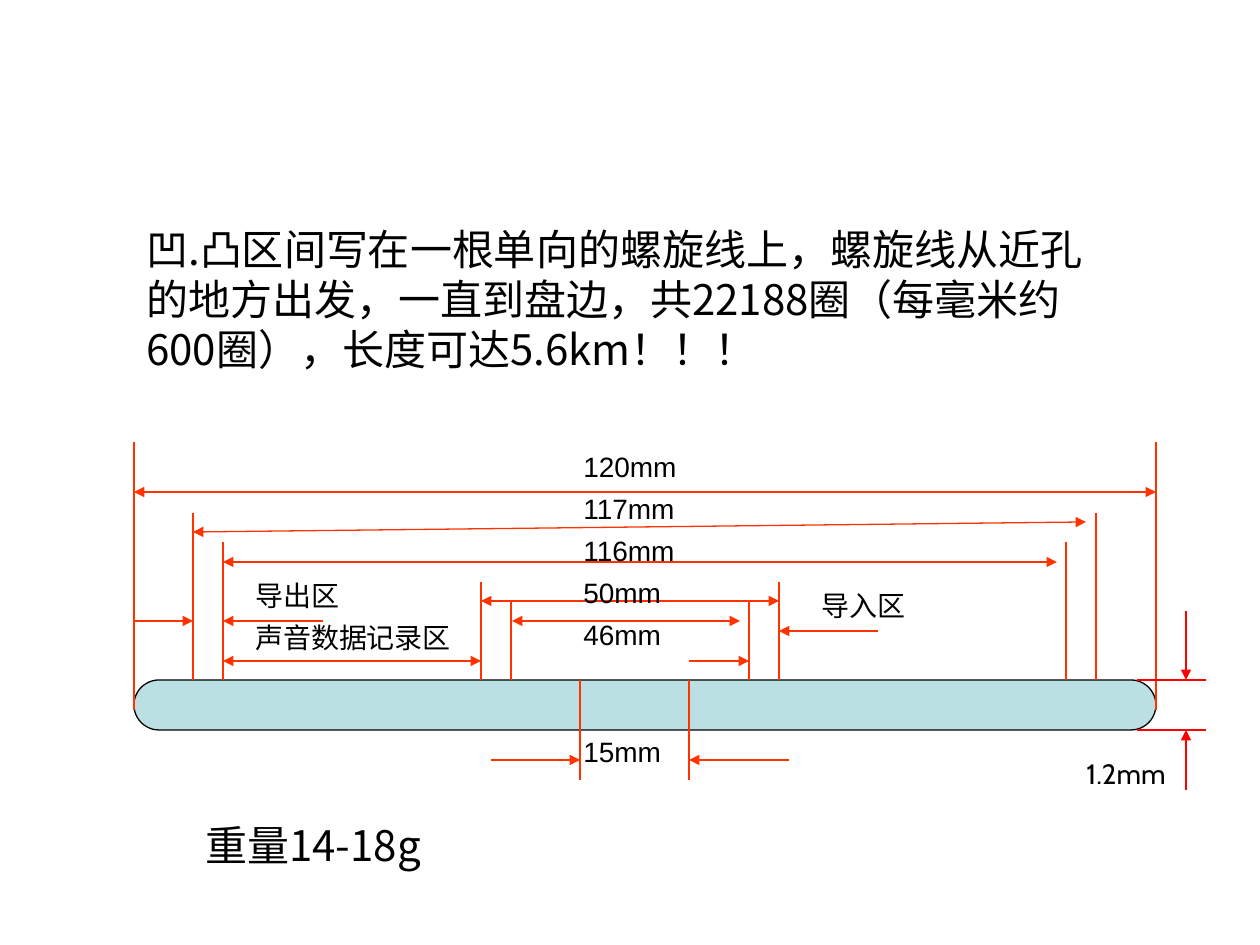
from pptx import Presentation, util as u
from pptx.dml.color import RGBColor
from pptx.enum import shapes, text
from pptx.oxml.ns import qn
from lxml import etree
from dataclasses import dataclass


@dataclass(frozen=True)
class Theme:
    ink: str = "000000"
    disc: str = "BBE0E3"
    dimension: str = "FF3300"
    thickness: str = "FF0000"
    label_font: str = "Arial"
    gauge_font: str = "Cabin"
    cjk_font: str = "Noto Sans CJK SC"
    label_size: int = 16
    body_size: int = 24
    line_width: float = 0.75


T = Theme()


def px(n):
    return u.Emu(round(n * 914400 / 126))


def rgb(value):
    return RGBColor.from_string(value)


def add_text(parent, box, lines, font=T.label_font, size=T.label_size, wrap=True, **spacing):
    """Text box with one paragraph per line; spacing holds paragraph formats."""
    tf = parent.add_textbox(*map(px, box)).text_frame
    tf.word_wrap = wrap
    tf.vertical_anchor = text.MSO_ANCHOR.TOP
    for i, line in enumerate(lines):
        p = tf.paragraphs[0] if i == 0 else tf.add_paragraph()
        for name, value in spacing.items():
            if i or name != "space_before":
                setattr(p, name, value)
        r = p.add_run()
        r.text = line
        for name, value in dict(name=font, size=u.Pt(size)).items():
            setattr(r.font, name, value)
        r.font.color.rgb = rgb(T.ink)
        etree.SubElement(r._r.get_or_add_rPr(), qn("a:ea"), typeface=T.cjk_font)


def add_line(parent, origin, ends, color, arrows=()):
    """Straight line; arrows names its arrowed ends, headEnd before tailEnd."""
    x, y = origin
    x1, y1, x2, y2 = ends
    sp = parent.add_connector(shapes.MSO_CONNECTOR.STRAIGHT,
                              px(x + x1), px(y + y1), px(x + x2), px(y + y2))
    sp.line.color.rgb = rgb(color)
    sp.line.width = u.Pt(T.line_width)
    ln = sp.line._get_or_add_ln()
    for end in arrows:
        etree.SubElement(ln, qn(f"a:{end}"), type="triangle")
    etree.SubElement(sp._element.spPr, qn("a:effectLst"))


def disc_section(s, x, y, w):
    """Cross-section of the disc with its diameters and zones."""
    grp = s.shapes.add_group_shape().shapes
    top, height = 238, 50
    sp = grp.add_shape(shapes.MSO_SHAPE.ROUNDED_RECTANGLE,
                       px(x), px(y + top), px(w), px(height))
    sp.adjustments[0] = 0.5
    sp.shadow.inherit = False
    sp.fill.solid()
    sp.fill.fore_color.rgb = rgb(T.disc)
    sp.line.color.rgb = rgb(T.ink)
    sp.line.width = u.Pt(T.line_width)

    # Left x, right x, start y and end y of each pair of extension lines
    extensions = [
        (0, w, 0, 268),
        (59, 962, 71, top),
        (89, 932, 100, top),
        (347, 645, 140, top),
        (377, 615, 159, top),
        (446, 555, top, 338),
    ]
    for left, right, start, end in extensions:
        for edge in (left, right):
            add_line(grp, (x, y), (edge, start, edge, end), T.dimension)

    spans = [
        (0, 50, w, 50),
        (59, 90, 952, 80),
        (89, 120, 923, 120),
        (347, 159, 645, 159),
        (378, 179, 606, 179),
        (89, 219, 347, 219),
    ]
    pointers = [
        (357, 318, 446, 318),
        (655, 318, 555, 318),
        (0, 179, 59, 179),
        (555, 219, 615, 219),
        (189, 179, 89, 179),
        (744, 189, 645, 189),
    ]
    for rows, arrows in ((spans, ("headEnd", "tailEnd")), (pointers, ("tailEnd",))):
        for ends in rows:
            add_line(grp, (x, y), ends, T.dimension, arrows)

    labels = [
        (437, 1, 179, 205, ["120mm", "117mm", "116mm", "50mm", "46mm"]),
        (437, 286, 179, 47, ["15mm"]),
        (109, 130, 248, 87, ["导出区", "声音数据记录区"]),
        (675, 140, 248, 47, ["导入区"]),
    ]
    for left, upper, width, tall, lines in labels:
        add_text(grp, (x + left, y + upper, width, tall), lines, space_before=u.Pt(4.8))


def thickness_gauge(s, x, y):
    for edge, tip in ((69, 0), (119, 179)):
        add_line(s.shapes, (x, y), (63, edge, 132, edge), T.thickness)
        add_line(s.shapes, (x, y), (112, tip, 112, edge), T.thickness, ("tailEnd",))
    add_text(s.shapes, (x, y + 139, 117, 47), ["1.2mm"], font=T.gauge_font, wrap=False)


def statement(s, x, y, w, h, line, wrap=True):
    add_text(s.shapes, (x, y, w, h), [line], font=T.cjk_font, size=T.body_size,
             wrap=wrap, line_spacing=u.Pt(28.6))


def main():
    prs = Presentation()
    prs.slide_width, prs.slide_height = px(1260), px(945)
    s = prs.slides.add_slide(prs.slide_layouts[6])
    disc_section(s, 134, 442, 1022)
    statement(s, 134, 218, 973, 164,
              "凹.凸区间写在一根单向的螺旋线上，螺旋线从近孔的地方出发，"
              "一直到盘边，共22188圈（每毫米约600圈），长度可达5.6km！！！")
    thickness_gauge(s, 1074, 611)
    statement(s, 193, 814, 271, 63, "重量14-18g", wrap=False)
    prs.save("out.pptx")


if __name__ == "__main__":
    main()
